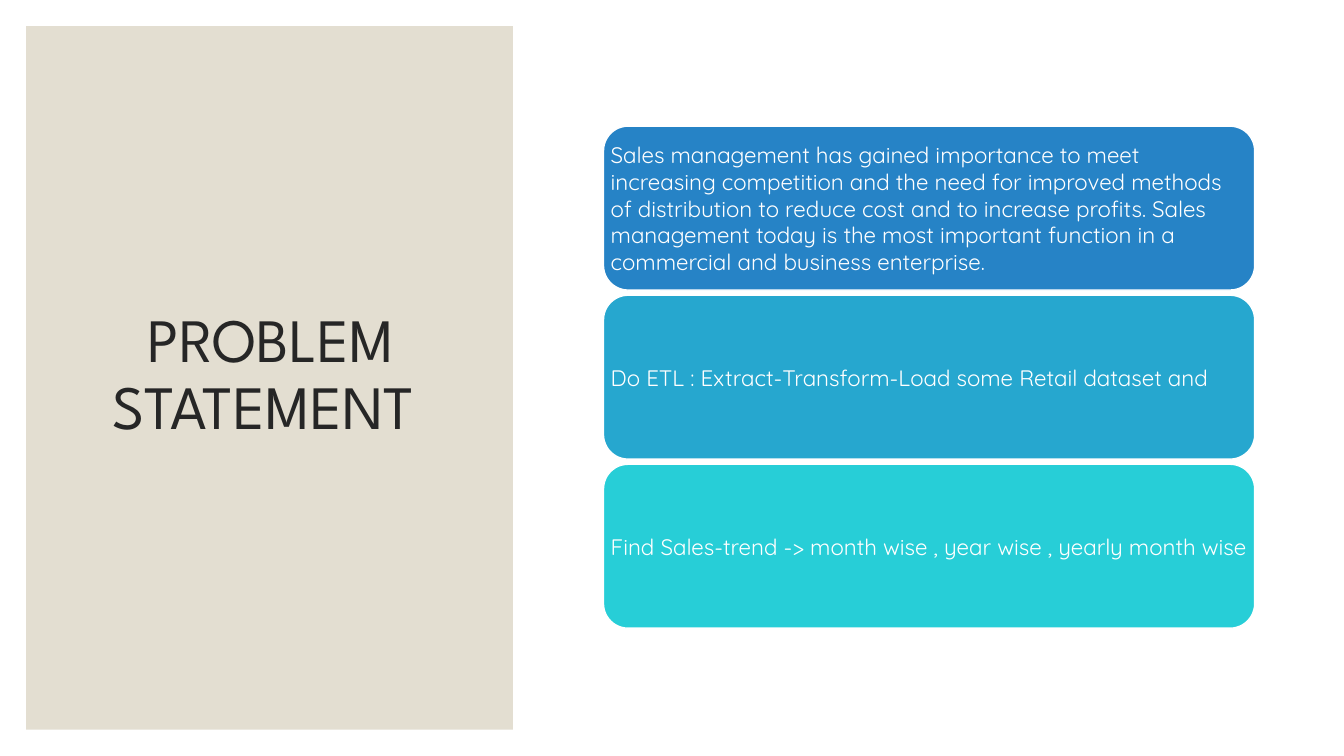
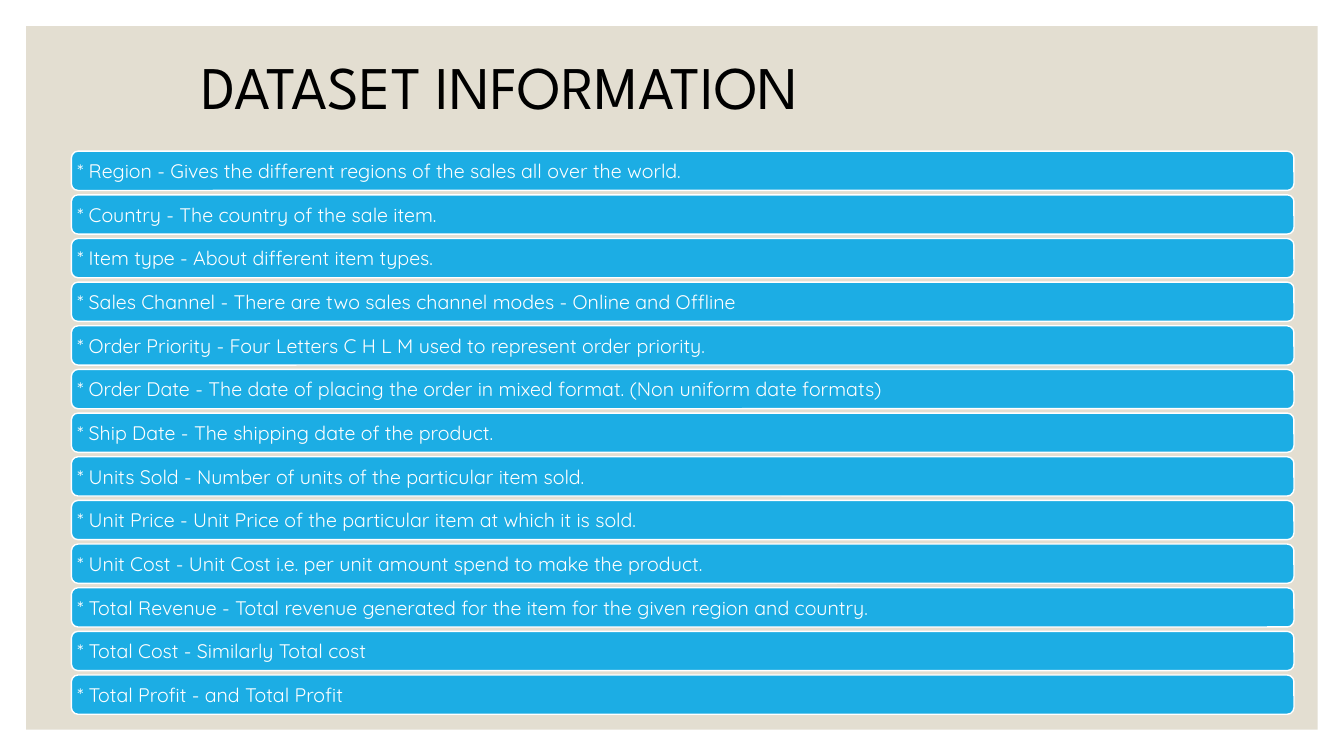
"""Build two slides on a sales dataset: problem statement and column list."""
from dataclasses import dataclass

from pptx import Presentation
from pptx.dml.color import RGBColor
from pptx.enum.shapes import MSO_SHAPE
from pptx.enum.text import MSO_ANCHOR, MSO_AUTO_SIZE, PP_ALIGN
from pptx.util import Cm, Pt


@dataclass(frozen=True)
class Theme:
    title_font: str = "League Spartan"
    body_font: str = "Quicksand"
    white: str = "FFFFFF"
    panel: str = "E3DED1"
    dark: str = "262626"
    black: str = "000000"
    blue: str = "2683C6"
    teal: str = "26A7CF"
    aqua: str = "27CED7"
    sky: str = "1CADE4"
    side_title_size: float = 44
    top_title_size: float = 43.2
    card_size: float = 16
    bar_size: float = 14


T = Theme()
WIDTH, HEIGHT, MARGIN = 33.87, 19.05, 0.66

PROBLEM = {
    "title": "PROBLEM STATEMENT ",
    "title_box": (1.6, 1.55, 10.46, 15.85),
    "title_style": (T.side_title_size, T.dark, PP_ALIGN.CENTER),
    "panel_width": 12.27,
    "rows": [
        ("Sales management has gained importance to meet increasing competition and the need "
         "for improved methods of distribution to reduce cost and to increase profits. Sales "
         "management today is the most important function in a commercial and business "
         "enterprise.", T.blue),
        ("Do ETL : Extract-Transform-Load some Retail dataset and", T.teal),
        ("Find Sales-trend -> month wise , year wise , yearly month wise", T.aqua),
    ],
    "first_row": (15.21, 3.18, 16.41, 4.13),
    "pitch": 4.26,
    "corner": 0.15,
    "inset": 0,
    "text_size": T.card_size,
}

COLUMNS = [
    ("Region", "Gives the different regions of the sales all over the world."),
    ("Country", "The country of the sale item."),
    ("Item type", "About different item types."),
    ("Sales Channel", "There are two sales channel modes - Online and Offline"),
    ("Order Priority", "Four Letters C H L M used to represent order priority."),
    ("Order Date", "The date of placing the order in mixed format. (Non uniform date formats)"),
    ("Ship Date", "The shipping date of the product."),
    ("Units Sold", "Number of units of the particular item sold."),
    ("Unit Price", "Unit Price of the particular item at which it is sold."),
    ("Unit Cost", "Unit Cost i.e. per unit amount spend to make the product."),
    ("Total Revenue", "Total revenue generated for the item for the given region and country."),
    ("Total Cost", "Similarly Total cost"),
    ("Total Profit", "and Total Profit"),
]

DATASET = {
    "title": "DATASET INFORMATION",
    "title_box": (4.83, 1.37, 24.74, 1.8),
    "title_style": (T.top_title_size, T.black, PP_ALIGN.LEFT),
    "panel_width": WIDTH - 2 * MARGIN,
    "rows": [(f"* {name} - {meaning}", T.sky) for name, meaning in COLUMNS],
    "first_row": (1.8, 3.81, 30.81, 0.99),
    "pitch": 1.1,
    "corner": 0.17,
    "inset": 0.1,
    "text_size": T.bar_size,
}


def rgb(value):
    return RGBColor.from_string(value)


def write(tf, text, font, size, color, align):
    tf.word_wrap = True
    tf.auto_size = MSO_AUTO_SIZE.NONE
    tf.vertical_anchor = MSO_ANCHOR.MIDDLE
    p = tf.paragraphs[0]
    p.alignment = align
    r = p.add_run()
    r.text = text
    r.font.name = font
    r.font.size = Pt(size)
    r.font.color.rgb = rgb(color)
    return p


def add_box(s, kind, box, fill):
    sp = s.shapes.add_shape(kind, *map(Cm, box))
    sp.shadow.inherit = False
    sp.fill.solid()
    sp.fill.fore_color.rgb = rgb(fill)
    sp.line.fill.background()
    return sp


def add_title(s, content):
    title = s.shapes.title
    title.left, title.top, title.width, title.height = map(Cm, content["title_box"])
    p = write(title.text_frame, content["title"], T.title_font, *content["title_style"])
    p.line_spacing = 0.9


def add_panel(s, width):
    panel = add_box(s, MSO_SHAPE.RECTANGLE,
                    (MARGIN, MARGIN, width, HEIGHT - 2 * MARGIN), T.panel)
    s.shapes.title._element.addprevious(panel._element)


def add_rows(s, content):
    left, top, width, height = content["first_row"]
    for i, (text, fill) in enumerate(content["rows"]):
        box = (left, top + i * content["pitch"], width, height)
        sp = add_box(s, MSO_SHAPE.ROUNDED_RECTANGLE, box, fill)
        sp.adjustments[0] = content["corner"]
        sp.line.color.rgb = rgb(T.white)
        sp.line.width = Pt(1)
        tf = sp.text_frame
        tf.margin_left = tf.margin_right = Cm(content["inset"])
        tf.margin_top = tf.margin_bottom = Cm(content["inset"])
        write(tf, text, T.body_font, content["text_size"], T.white, PP_ALIGN.LEFT)


def main():
    prs = Presentation()
    prs.slide_width, prs.slide_height = Cm(WIDTH), Cm(HEIGHT)
    for content in (PROBLEM, DATASET):
        s = prs.slides.add_slide(prs.slide_layouts[5])
        add_title(s, content)
        add_panel(s, content["panel_width"])
        add_rows(s, content)
    prs.save("out.pptx")


if __name__ == "__main__":
    main()
